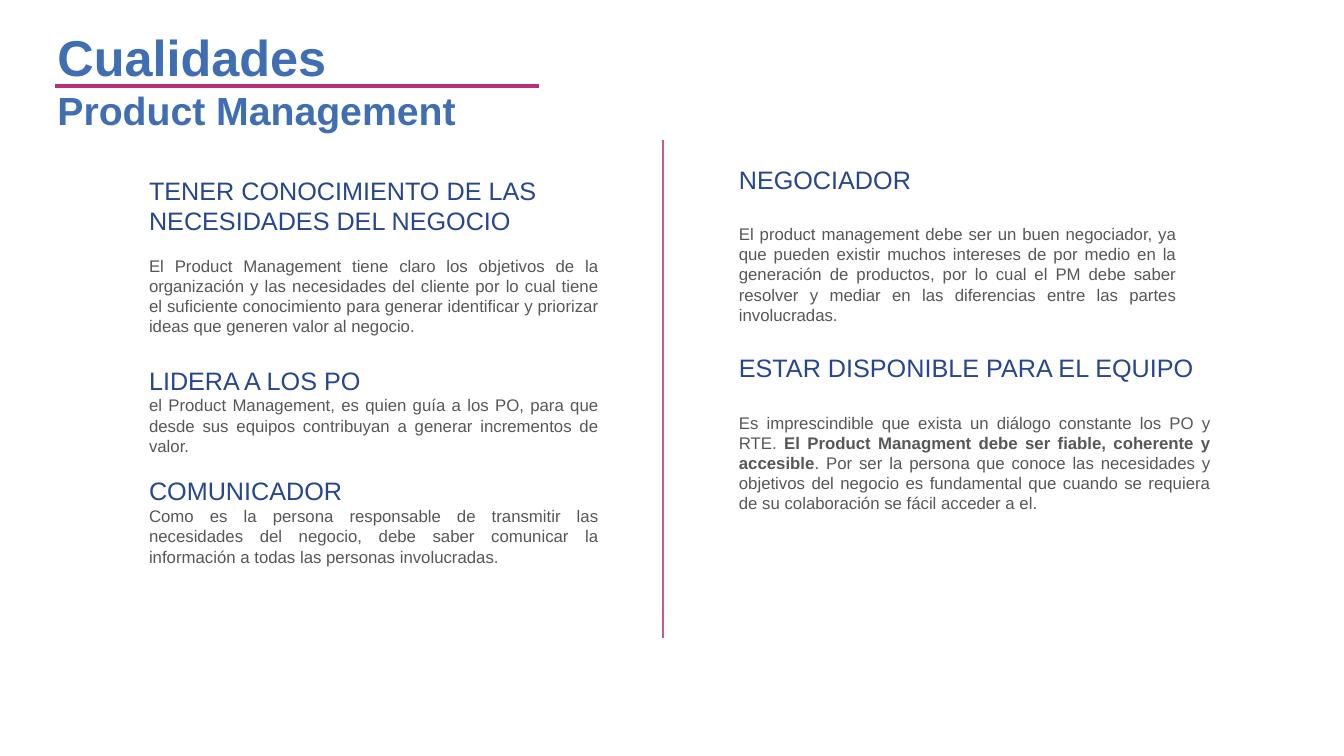
from dataclasses import dataclass

from lxml.etree import SubElement
from pptx import Presentation
from pptx.dml.color import RGBColor as Rgb
from pptx.enum.shapes import MSO_CONNECTOR as Conn
from pptx.enum.text import MSO_ANCHOR as Anchor, MSO_AUTO_SIZE as Fit, PP_ALIGN as Align
from pptx.oxml.ns import qn
from pptx.util import Inches, Pt

FONT = "Arial"
COLORS = {
    "title": "406EB3",
    "head": "26478D",
    "body": "575756",
    "rule": "BA2F7D",
    "split": "C85997",
}


@dataclass
class Block:
    left: float
    top: float
    width: float
    height: float
    head: str
    body: list[str]  # every second piece is bold
    gap: float = 0


@dataclass
class Line:
    start: tuple[float, float]
    end: tuple[float, float]
    color: str
    width: float


LEFT, RIGHT = 1.38, 7.23

BLOCKS = [
    Block(LEFT, 1.69, 4.66, 1.72, "TENER CONOCIMIENTO DE LAS NECESIDADES DEL NEGOCIO", [
        "El Product Management tiene claro los objetivos de la organización y las "
        "necesidades del cliente por lo cual tiene el suficiente conocimiento para "
        "generar identificar y priorizar ideas que generen valor al negocio."], 14),
    Block(LEFT, 3.57, 4.66, 1.01, "LIDERA A LOS PO", [
        "el Product Management, es quien guía a los PO, para que desde sus equipos "
        "contribuyan a generar incrementos de valor."]),
    Block(LEFT, 4.67, 4.66, 1.01, "COMUNICADOR", [
        "Como es la persona responsable de transmitir las necesidades del negocio, "
        "debe saber comunicar la información a todas las personas involucradas."]),
    Block(RIGHT, 1.58, 4.54, 1.92, "NEGOCIADOR", [
        "El product management debe ser un buen negociador, ya que pueden existir "
        "muchos intereses de por medio en la generación de productos, por lo cual el "
        "PM debe saber resolver y mediar en las diferencias entre las partes "
        "involucradas."], 21),
    Block(RIGHT, 3.45, 4.88, 1.72, "ESTAR DISPONIBLE PARA EL EQUIPO", [
        "Es imprescindible que exista un diálogo constante los PO y RTE. ",
        "El Product Managment debe ser fiable, coherente y accesible",
        ". Por ser la persona que conoce las necesidades y objetivos del negocio es "
        "fundamental que cuando se requiera de su colaboración se fácil acceder a el."],
        21),
]

LINES = [
    Line((0.55, 0.85), (5.35, 0.85), "rule", 3),
    Line((6.58, 1.39), (6.58, 6.33), "split", 1.5),
]


def style(para, size: float, color: str, align=Align.LEFT, bold: bool = False) -> None:
    para.alignment = align
    font = para.font
    font.name, font.size, font.bold = FONT, Pt(size), bold
    font.color.rgb = Rgb.from_string(COLORS[color])


def add_title(slide) -> None:
    title = slide.shapes.title
    title.left, title.top = Inches(0.47), Inches(0.21)
    title.width, title.height = Inches(4.2), Inches(1.18)
    frame = title.text_frame
    frame.text = "Cualidades\nProduct Management"
    frame.word_wrap = False
    frame.auto_size = Fit.SHAPE_TO_FIT_TEXT
    frame.vertical_anchor = Anchor.TOP
    for para, size in zip(frame.paragraphs, (36, 28)):
        style(para, size, "title", bold=True)


def add_block(slide, block: Block) -> None:
    box = slide.shapes.add_textbox(Inches(block.left), Inches(block.top),
                                   Inches(block.width), Inches(block.height))
    frame = box.text_frame
    frame.word_wrap = True
    frame.auto_size = Fit.SHAPE_TO_FIT_TEXT
    head = frame.paragraphs[0]
    head.text = block.head
    style(head, 18, "head")
    body = frame.add_paragraph()
    body.space_before = Pt(block.gap)
    style(body, 12, "body", Align.JUSTIFY)
    for i, text in enumerate(block.body):
        run = body.add_run()
        run.text = text
        if i % 2:
            run.font.bold = True


def add_line(slide, line: Line) -> None:
    ends = [Inches(n) for n in line.start + line.end]
    conn = slide.shapes.add_connector(Conn.STRAIGHT, *ends)
    conn.line.color.rgb = Rgb.from_string(COLORS[line.color])
    conn.line.width = Pt(line.width)
    # No shadow
    SubElement(conn.element.spPr, qn("a:effectLst"))


def main() -> None:
    deck = Presentation()
    deck.slide_width, deck.slide_height = Inches(13.33), Inches(7.5)
    slide = deck.slides.add_slide(deck.slide_layouts[5])

    # Heading
    add_title(slide)

    # Rule under the heading and split between the columns
    for line in LINES:
        add_line(slide, line)

    # Qualities
    for block in BLOCKS:
        add_block(slide, block)

    deck.save("out.pptx")


if __name__ == "__main__":
    main()
